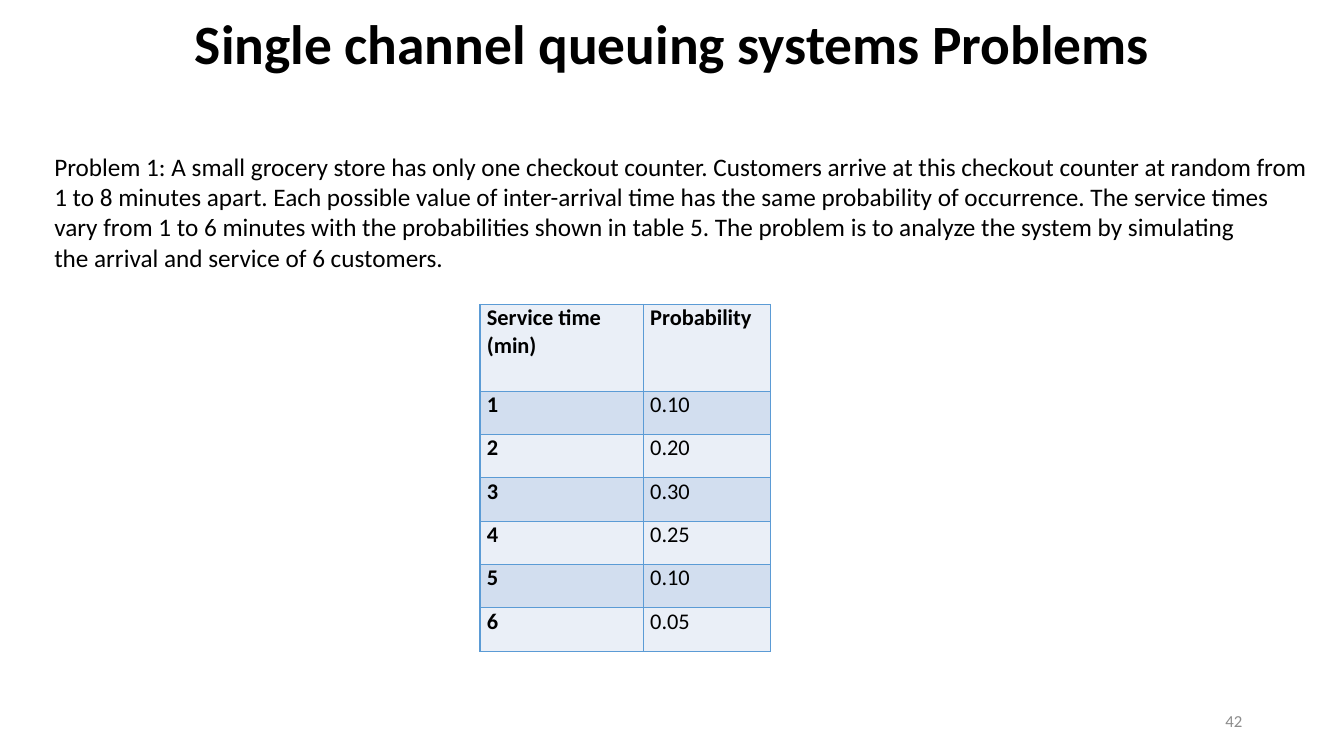
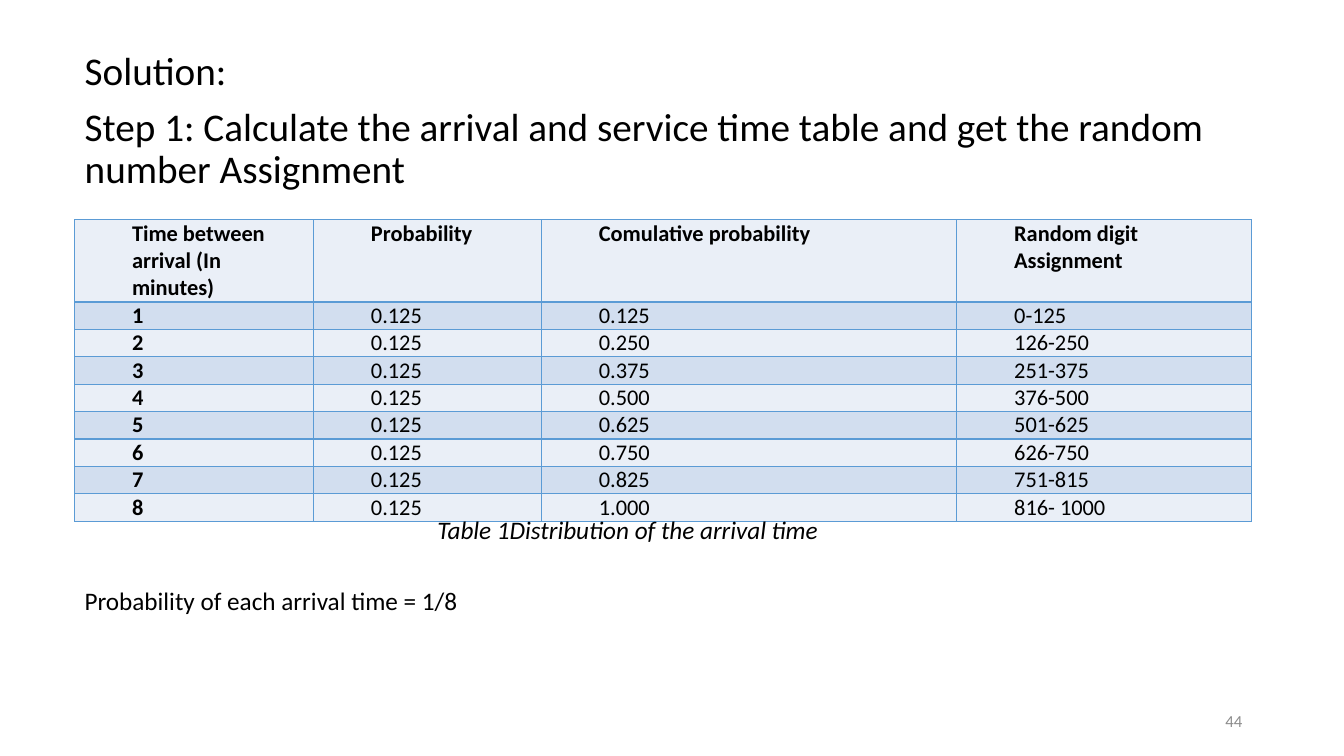
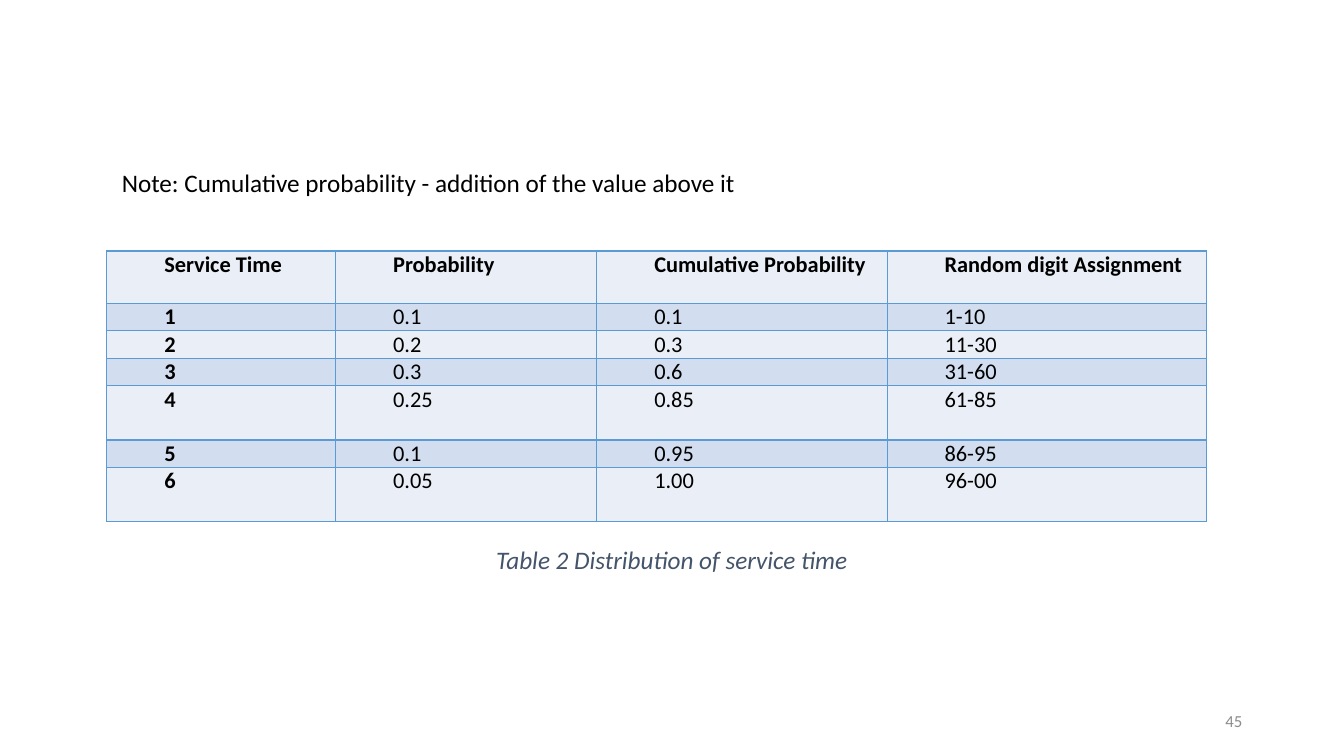
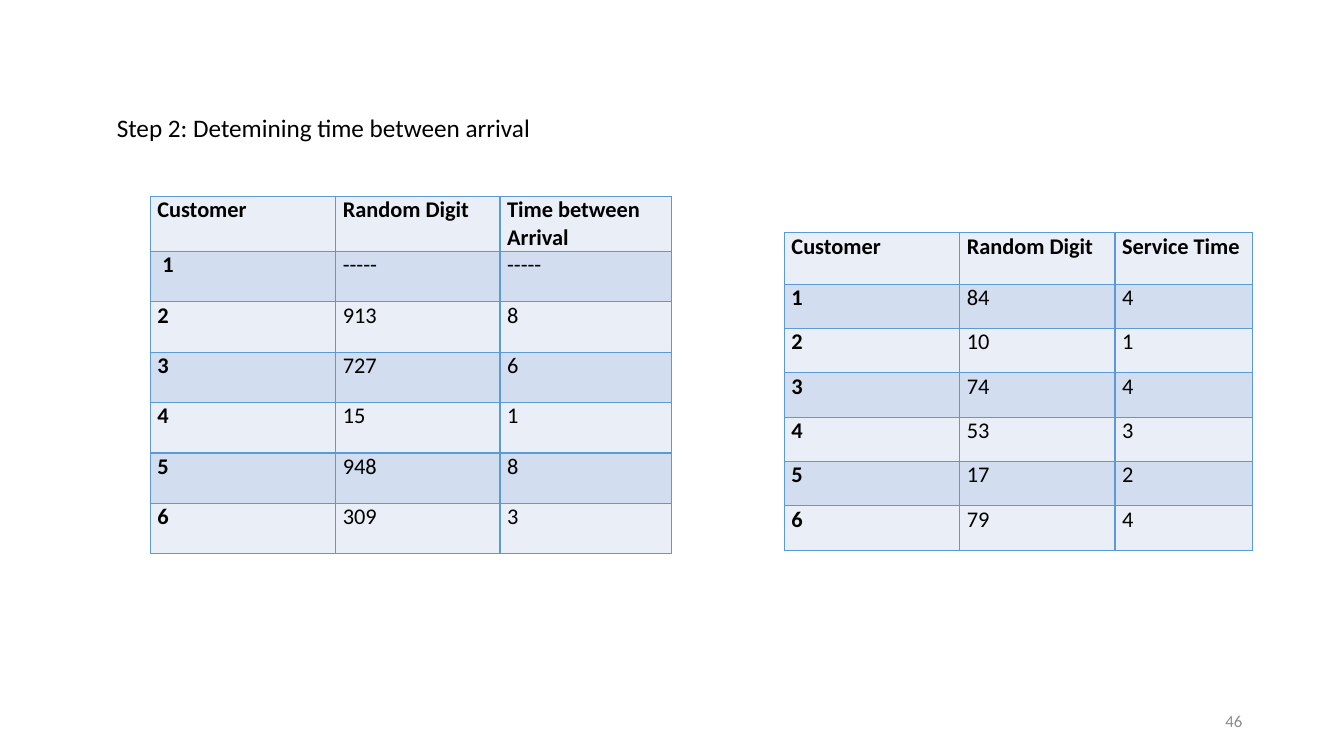
from dataclasses import dataclass
from typing import Any, Optional

import lxml.etree
import pptx
import pptx.dml.color
import pptx.enum.text
import pptx.oxml.ns
import pptx.util

EMU_PER_PX = 9144
SLIDE_SIZE = (1333, 750)
FONT_NAME = "Calibri"
COLORS = {
    "text": "000000",
    "caption": "44546A",
    "page_number": "8C8C8C",
    "border": "5B9BD5",
    "light_row": "EAEFF7",
    "dark_row": "D2DEEF",
}
LAYOUTS = {"title": 5, "body": 1, "blank": 6}
ALIGN = pptx.enum.text.PP_ALIGN
ANCHOR = pptx.enum.text.MSO_ANCHOR
FRAME_FORMAT = {"word_wrap": True, "auto_size": pptx.enum.text.MSO_AUTO_SIZE.NONE}
CELL_FORMAT = {
    "margin_left": 7 * EMU_PER_PX,
    "margin_right": 7 * EMU_PER_PX,
    "margin_top": 0,
    "margin_bottom": 0,
    "vertical_anchor": ANCHOR.TOP,
}
TABLE_FORMAT = {"first_row": False, "horz_banding": False}


@dataclass(frozen=True)
class TextStyle:
    size: float = 18
    bold: bool = False
    italic: bool = False
    color: str = "text"
    align: Any = ALIGN.LEFT
    anchor: Any = ANCHOR.TOP
    line_spacing: float = 1.0
    space_between: int = 0


@dataclass(frozen=True)
class TextBlock:
    box: tuple[int, int, int, int]
    lines: tuple[str, ...]
    style: TextStyle = TextStyle()


@dataclass(frozen=True)
class TableBlock:
    left: int
    top: int
    column_widths: tuple[int, ...]
    row_heights: tuple[int, ...]
    rows: tuple[tuple[str, ...], ...]
    indent: int = 0


@dataclass(frozen=True)
class SlideContent:
    number: int
    tables: tuple[TableBlock, ...]
    texts: tuple[TextBlock, ...] = ()
    title: Optional[TextBlock] = None
    body: Optional[TextBlock] = None


TITLE = TextStyle(39.6, bold=True, align=ALIGN.CENTER, anchor=ANCHOR.MIDDLE, line_spacing=0.9)
BODY = TextStyle(28, line_spacing=0.9, space_between=10)
PAGE_NUMBER = TextStyle(12, color="page_number", align=ALIGN.RIGHT, anchor=ANCHOR.MIDDLE)
CELL = TextStyle(16)
CELL_STRONG = TextStyle(16, bold=True)

SLIDES = (
    SlideContent(
        number=42,
        title=TextBlock((92, 10, 1150, 72), ("Single channel queuing systems Problems",), TITLE),
        texts=(
            TextBlock(
                (44, 145, 1283, 162),
                (
                    "Problem 1: A small grocery store has only one checkout counter. "
                    "Customers arrive at this checkout counter at random from",
                    "1 to 8 minutes apart. Each possible value of inter-arrival time "
                    "has the same probability of occurrence. The service times",
                    "vary from 1 to 6 minutes with the probabilities shown in table 5. "
                    "The problem is to analyze the system by simulating",
                    "the arrival and service of 6 customers.",
                ),
            ),
        ),
        tables=(
            TableBlock(
                476, 302, (162, 126), (86,) + (43,) * 6,
                (
                    ("Service time (min)", "Probability"),
                    ("1", "0.10"),
                    ("2", "0.20"),
                    ("3", "0.30"),
                    ("4", "0.25"),
                    ("5", "0.10"),
                    ("6", "0.05"),
                ),
            ),
        ),
    ),
    SlideContent(
        number=44,
        body=TextBlock(
            (74, 46, 1150, 158),
            (
                "Solution:",
                "Step 1: Calculate the arrival and service time table and get the random "
                "number Assignment",
            ),
            BODY,
        ),
        texts=(
            TextBlock(
                (424, 505, 402, 71),
                ("Table 1Distribution of the arrival time",),
                TextStyle(italic=True),
            ),
            TextBlock((74, 576, 395, 71), ("Probability of each arrival time = 1/8",)),
        ),
        tables=(
            TableBlock(
                74, 218, (237, 226, 412, 292), (60,) + (27,) * 8,
                (
                    (
                        "Time between arrival (In minutes)",
                        "Probability",
                        "Comulative probability",
                        "Random digit Assignment",
                    ),
                    ("1", "0.125", "0.125", "0-125"),
                    ("2", "0.125", "0.250", "126-250"),
                    ("3", "0.125", "0.375", "251-375"),
                    ("4", "0.125", "0.500", "376-500"),
                    ("5", "0.125", "0.625", "501-625"),
                    ("6", "0.125", "0.750", "626-750"),
                    ("7", "0.125", "0.825", "751-815"),
                    ("8", "0.125", "1.000", "816- 1000"),
                ),
                indent=50,
            ),
        ),
    ),
    SlideContent(
        number=45,
        texts=(
            TextBlock(
                (111, 161, 637, 71),
                ("Note: Cumulative probability - addition of the value above it",),
            ),
            TextBlock(
                (480, 535, 373, 40),
                ("Table 2 Distribution of service time",),
                TextStyle(italic=True, color="caption", align=ALIGN.CENTER),
            ),
        ),
        tables=(
            TableBlock(
                106, 249, (227, 259, 288, 317), (52, 27, 27, 27, 54, 27, 54),
                (
                    (
                        "Service Time",
                        "Probability",
                        "Cumulative Probability",
                        "Random digit Assignment",
                    ),
                    ("1", "0.1", "0.1", "1-10"),
                    ("2", "0.2", "0.3", "11-30"),
                    ("3", "0.3", "0.6", "31-60"),
                    ("4", "0.25", "0.85", "61-85"),
                    ("5", "0.1", "0.95", "86-95"),
                    ("6", "0.05", "1.00", "96-00"),
                ),
                indent=50,
            ),
        ),
    ),
    SlideContent(
        number=46,
        texts=(TextBlock((106, 107, 441, 40), ("Step 2: Detemining time between arrival",)),),
        tables=(
            TableBlock(
                149, 195, (184, 163, 170), (51,) + (50,) * 6,
                (
                    ("Customer", "Random Digit", "Time between Arrival"),
                    (" 1", "-----", "-----"),
                    ("2", "913", "8"),
                    ("3", "727", "6"),
                    ("4", "15", "1"),
                    ("5", "948", "8"),
                    ("6", "309", "3"),
                ),
            ),
            TableBlock(
                778, 231, (174, 154, 136), (51,) + (44,) * 6,
                (
                    ("Customer", "Random Digit", "Service Time"),
                    ("1", "84", "4"),
                    ("2", "10", "1"),
                    ("3", "74", "4"),
                    ("4", "53", "3"),
                    ("5", "17", "2"),
                    ("6", "79", "4"),
                ),
            ),
        ),
    ),
)


def px(length: int) -> pptx.util.Emu:
    return pptx.util.Emu(length * EMU_PER_PX)


def rgb(name: str) -> pptx.dml.color.RGBColor:
    return pptx.dml.color.RGBColor.from_string(COLORS[name])


def set_attributes(target: Any, values: dict[str, Any]) -> None:
    for name, value in values.items():
        setattr(target, name, value)


def write_paragraph(paragraph: Any, text: str, style: TextStyle, indent: int, first: bool) -> None:
    properties = paragraph._p.get_or_add_pPr()
    properties.set("marL", str(px(indent)))
    properties.set("indent", "0")
    lxml.etree.SubElement(properties, pptx.oxml.ns.qn("a:buNone"))
    set_attributes(paragraph, {
        "text": text,
        "alignment": style.align,
        "line_spacing": style.line_spacing,
        "space_before": pptx.util.Pt(0 if first else style.space_between),
    })
    font = paragraph.runs[0].font
    set_attributes(font, {
        "name": FONT_NAME,
        "size": pptx.util.Pt(style.size),
        "bold": style.bold,
        "italic": style.italic,
    })
    font.color.rgb = rgb(style.color)


def fill_text(shape: Any, block: TextBlock) -> None:
    left, top, width, height = map(px, block.box)
    set_attributes(shape, {"left": left, "top": top, "width": width, "height": height})
    frame = shape.text_frame
    set_attributes(frame, {**FRAME_FORMAT, "vertical_anchor": block.style.anchor})
    for index, line in enumerate(block.lines):
        paragraph = frame.add_paragraph() if index else frame.paragraphs[0]
        write_paragraph(paragraph, line, block.style, 0, index == 0)


def add_text(slide: Any, block: TextBlock) -> None:
    fill_text(slide.shapes.add_textbox(*map(px, block.box)), block)


def add_borders(cell: Any) -> None:
    properties = cell._tc.get_or_add_tcPr()
    for side in ("lnL", "lnR", "lnT", "lnB"):
        line = lxml.etree.SubElement(
            properties, pptx.oxml.ns.qn(f"a:{side}"), w=str(pptx.util.Pt(1))
        )
        fill = lxml.etree.SubElement(line, pptx.oxml.ns.qn("a:solidFill"))
        lxml.etree.SubElement(fill, pptx.oxml.ns.qn("a:srgbClr"), val=COLORS["border"])


def add_table(slide: Any, block: TableBlock) -> None:
    table = slide.shapes.add_table(
        len(block.rows), len(block.column_widths), px(block.left), px(block.top),
        px(sum(block.column_widths)), px(sum(block.row_heights)),
    ).table
    set_attributes(table, TABLE_FORMAT)
    for column, width in zip(table.columns, block.column_widths):
        column.width = px(width)
    for row, height in zip(table.rows, block.row_heights):
        row.height = px(height)
    for row_index, texts in enumerate(block.rows):
        for column_index, text in enumerate(texts):
            cell = table.cell(row_index, column_index)
            set_attributes(cell, CELL_FORMAT)
            strong = row_index == 0 or column_index == 0
            write_paragraph(
                cell.text_frame.paragraphs[0], text,
                CELL_STRONG if strong else CELL, block.indent, True,
            )
            add_borders(cell)
            cell.fill.solid()
            cell.fill.fore_color.rgb = rgb("dark_row" if row_index % 2 else "light_row")


def add_slide(presentation: Any, content: SlideContent) -> None:
    kind = "title" if content.title else "body" if content.body else "blank"
    slide = presentation.slides.add_slide(presentation.slide_layouts[LAYOUTS[kind]])
    if content.title:
        fill_text(slide.shapes.title, content.title)
    if content.body:
        fill_text(slide.placeholders[1], content.body)
        title = slide.shapes.title._element
        title.getparent().remove(title)
    add_text(slide, TextBlock((942, 695, 300, 40), (str(content.number),), PAGE_NUMBER))
    for table in content.tables:
        add_table(slide, table)
    for text in content.texts:
        add_text(slide, text)


def main() -> None:
    presentation = pptx.Presentation()
    width, height = map(px, SLIDE_SIZE)
    set_attributes(presentation, {"slide_width": width, "slide_height": height})
    for content in SLIDES:
        add_slide(presentation, content)
    presentation.save("out.pptx")


if __name__ == "__main__":
    main()
